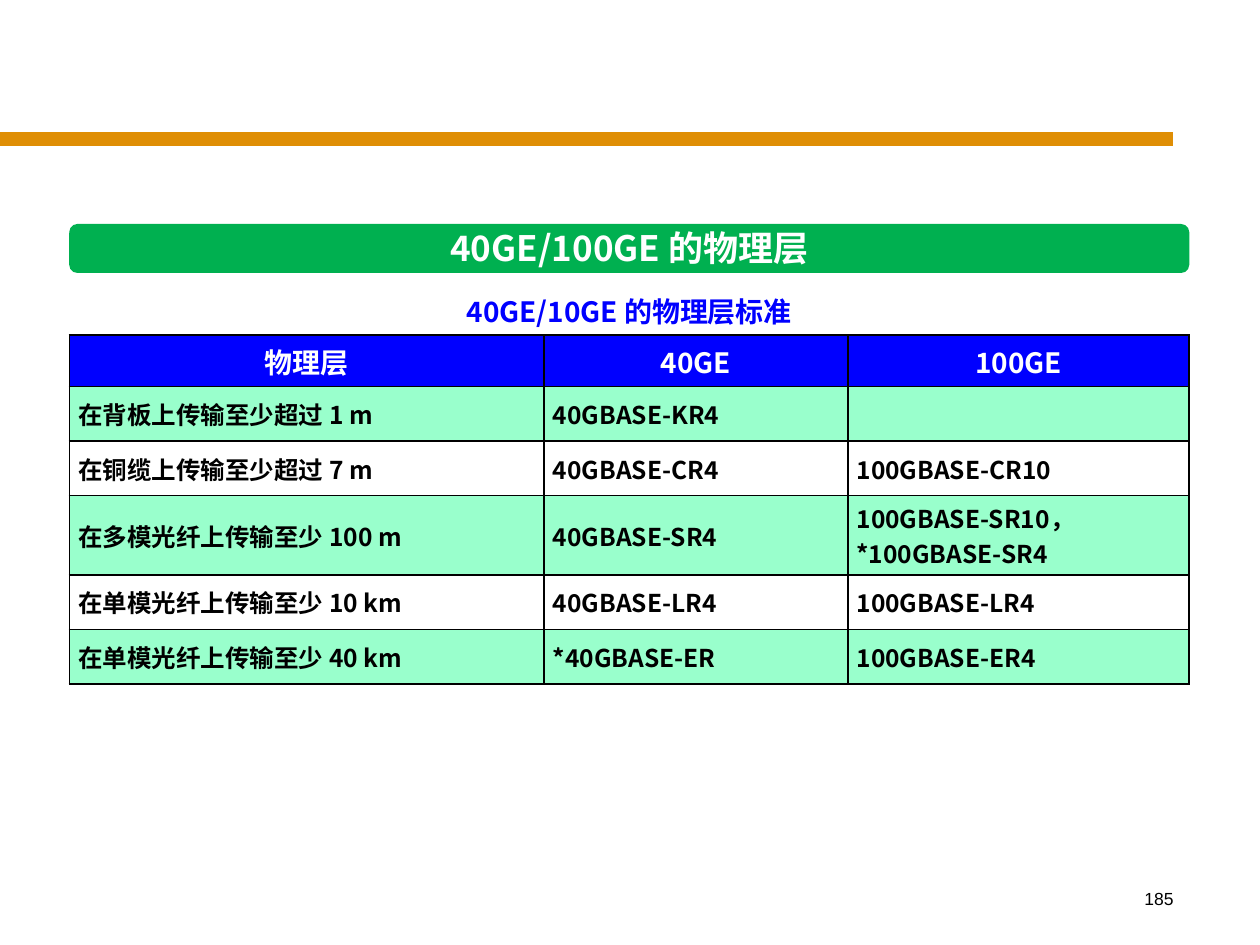
from pptx import Presentation
from pptx.dml.color import RGBColor
from pptx.enum.shapes import MSO_CONNECTOR, MSO_SHAPE
from pptx.enum.text import MSO_ANCHOR, MSO_AUTO_SIZE, PP_ALIGN
from pptx.oxml import parse_xml
from pptx.oxml.ns import nsdecls
from pptx.util import Pt

HEADING = "40GE/100GE 的物理层"
CAPTION = "40GE/10GE 的物理层标准"
PAGE_NUMBER = "185"
STANDARDS = [
    ("物理层", "40GE", "100GE"),
    ("在背板上传输至少超过 1 m", "40GBASE-KR4", ""),
    ("在铜缆上传输至少超过 7 m", "40GBASE-CR4", "100GBASE-CR10"),
    ("在多模光纤上传输至少 100 m", "40GBASE-SR4", "100GBASE-SR10，\n*100GBASE-SR4"),
    ("在单模光纤上传输至少 10 km", "40GBASE-LR4", "100GBASE-LR4"),
    ("在单模光纤上传输至少 40 km", "*40GBASE-ER", "100GBASE-ER4"),
]

ORANGE = RGBColor(0xDF, 0x8E, 0x05)
GREEN = RGBColor(0x00, 0xB0, 0x50)
MINT = RGBColor(0x99, 0xFF, 0xCC)
BLUE = RGBColor(0x00, 0x00, 0xFF)
WHITE = RGBColor(0xFF, 0xFF, 0xFF)
BLACK = RGBColor(0x00, 0x00, 0x00)

CJK_FONT = "Noto Sans CJK SC"
CENTER, RIGHT, JUSTIFY = PP_ALIGN.CENTER, PP_ALIGN.RIGHT, PP_ALIGN.JUSTIFY

LEFT = 39.6
COLUMN_WIDTHS = [271.4, 173.5, 195.1]
WIDTH = sum(COLUMN_WIDTHS)
HEADER_HEIGHT, ROW_HEIGHT, TWO_LINE_HEIGHT = 29.5, 31.1, 45.4


def style_text(frame, size, color, align, font=CJK_FONT, bold=True):
    for paragraph in frame.paragraphs:
        paragraph.alignment = align
        for run in paragraph.runs:
            run.font.name = font
            run.font.size = Pt(size)
            run.font.bold = bold
            run.font.color.rgb = color
            run.font._element.append(
                parse_xml(f'<a:ea {nsdecls("a")} typeface="{font}"/>'))


def add_label(slide, text, left, top, width, height, wrap=False, **style):
    label = slide.shapes.add_textbox(Pt(left), Pt(top), Pt(width), Pt(height))
    frame = label.text_frame
    frame.text = text
    frame.word_wrap = wrap
    if not wrap:
        frame.auto_size = MSO_AUTO_SIZE.SHAPE_TO_FIT_TEXT
    style_text(frame, **style)


def add_borders(cell):
    properties = cell._tc.get_or_add_tcPr()
    for side in "LRTB":
        properties.append(parse_xml(
            f'<a:ln{side} {nsdecls("a")} w="{Pt(1)}"><a:solidFill>'
            f'<a:srgbClr val="{BLACK}"/></a:solidFill></a:ln{side}>'))


def row_height(index, row):
    if index == 0:
        return HEADER_HEIGHT
    return TWO_LINE_HEIGHT if any("\n" in text for text in row) else ROW_HEIGHT


def add_standards_table(slide, top):
    heights = [row_height(i, row) for i, row in enumerate(STANDARDS)]
    table = slide.shapes.add_table(
        len(heights), len(COLUMN_WIDTHS),
        Pt(LEFT), Pt(top), Pt(WIDTH), Pt(sum(heights))).table
    for column, width in zip(table.columns, COLUMN_WIDTHS):
        column.width = Pt(width)
    for r, row in enumerate(STANDARDS):
        table.rows[r].height = Pt(heights[r])
        for c, text in enumerate(row):
            cell = table.cell(r, c)
            cell.text = text
            cell.vertical_anchor = MSO_ANCHOR.MIDDLE
            cell.margin_left = cell.margin_right = Pt(5)
            cell.margin_top = cell.margin_bottom = 0
            add_borders(cell)
            if r % 2 or r == 0:
                cell.fill.solid()
                cell.fill.fore_color.rgb = MINT if r else BLUE
            else:
                cell.fill.background()
            if r == 0:
                style_text(cell.text_frame, 16, WHITE, CENTER)
            else:
                style_text(cell.text_frame, 14, BLACK, JUSTIFY)


def main():
    deck = Presentation()
    deck.slide_width, deck.slide_height = Pt(720), Pt(540)
    slide = deck.slides.add_slide(deck.slide_layouts[6])

    rule = slide.shapes.add_connector(
        MSO_CONNECTOR.STRAIGHT, 0, Pt(79.4), Pt(670.3), Pt(79.4))
    rule.line.color.rgb = ORANGE
    rule.line.width = Pt(8)
    rule._element.spPr.append(parse_xml(f'<a:effectLst {nsdecls("a")}/>'))

    add_label(slide, PAGE_NUMBER, 527.8, 504, 149.8, 36, wrap=True,
              size=10, color=BLACK, align=RIGHT, font="Arial", bold=False)

    banner = slide.shapes.add_shape(
        MSO_SHAPE.ROUNDED_RECTANGLE, Pt(LEFT), Pt(128), Pt(WIDTH), Pt(28))
    banner.shadow.inherit = False
    banner.fill.solid()
    banner.fill.fore_color.rgb = GREEN
    banner.line.fill.background()

    add_label(slide, HEADING, 247, 126, 225.4, 31.5,
              size=20, color=WHITE, align=CENTER)
    add_label(slide, CAPTION, 257, 164.9, 205.2, 26.6,
              size=16, color=BLUE, align=CENTER)
    add_standards_table(slide, top=191.5)

    deck.save("out.pptx")


if __name__ == "__main__":
    main()
